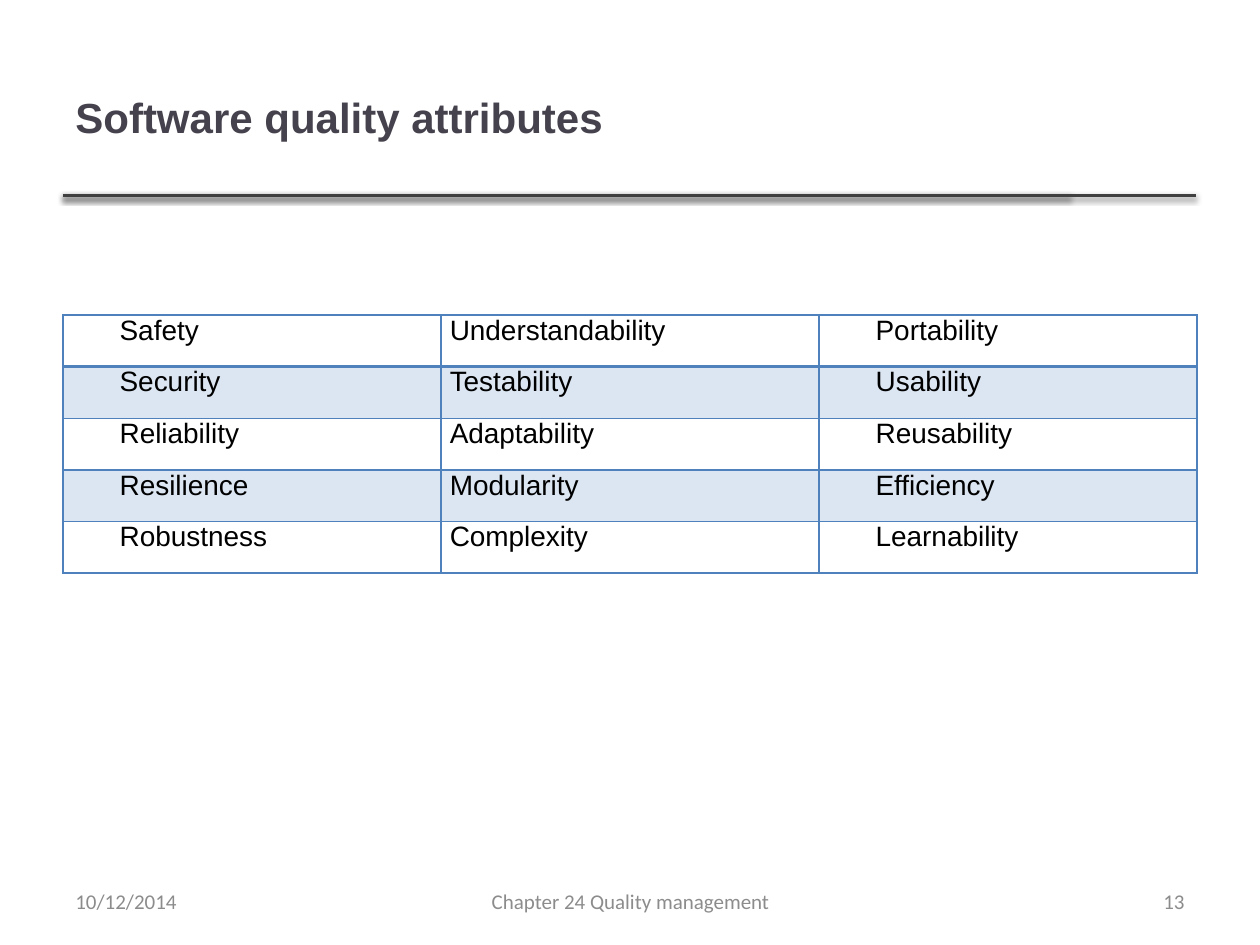
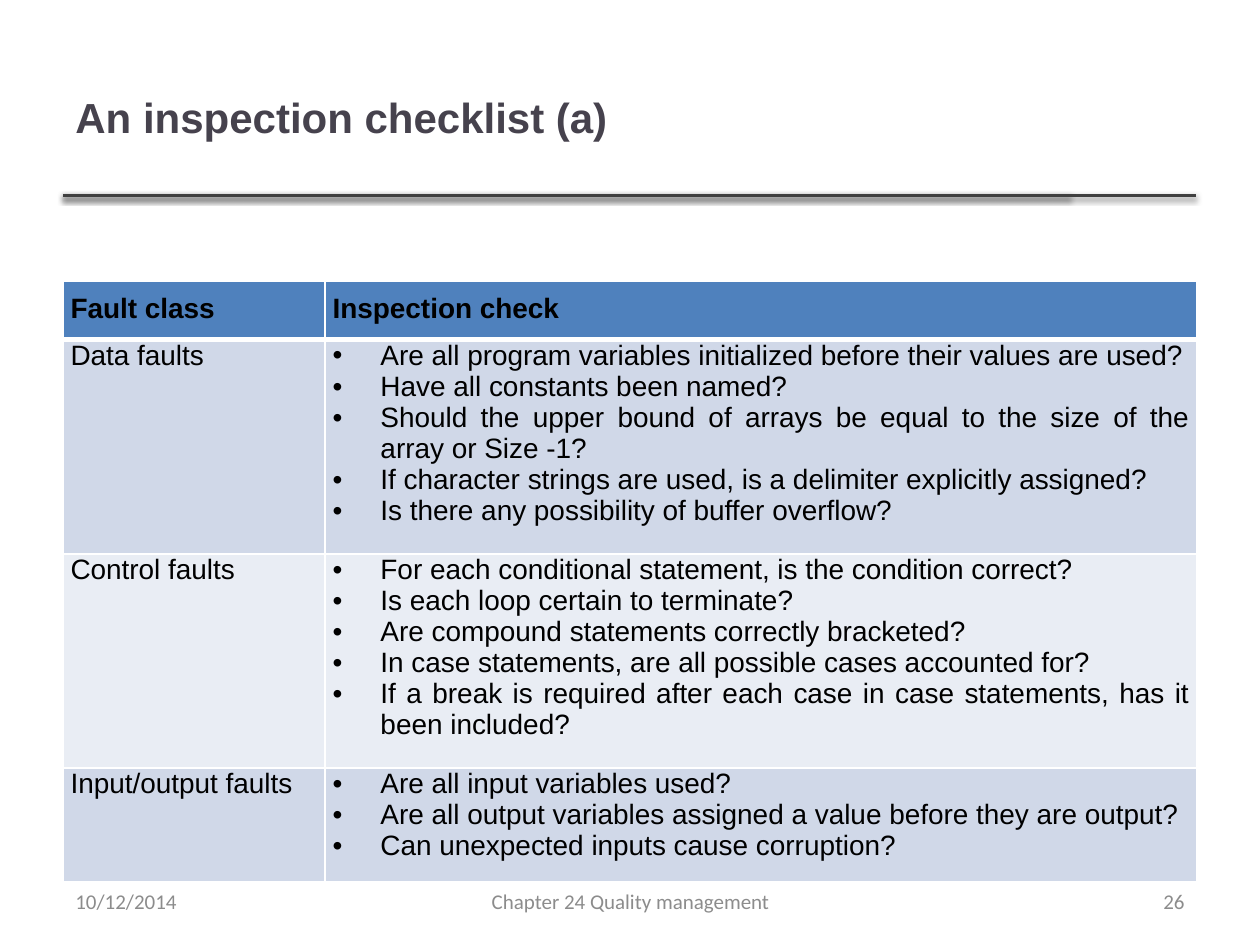
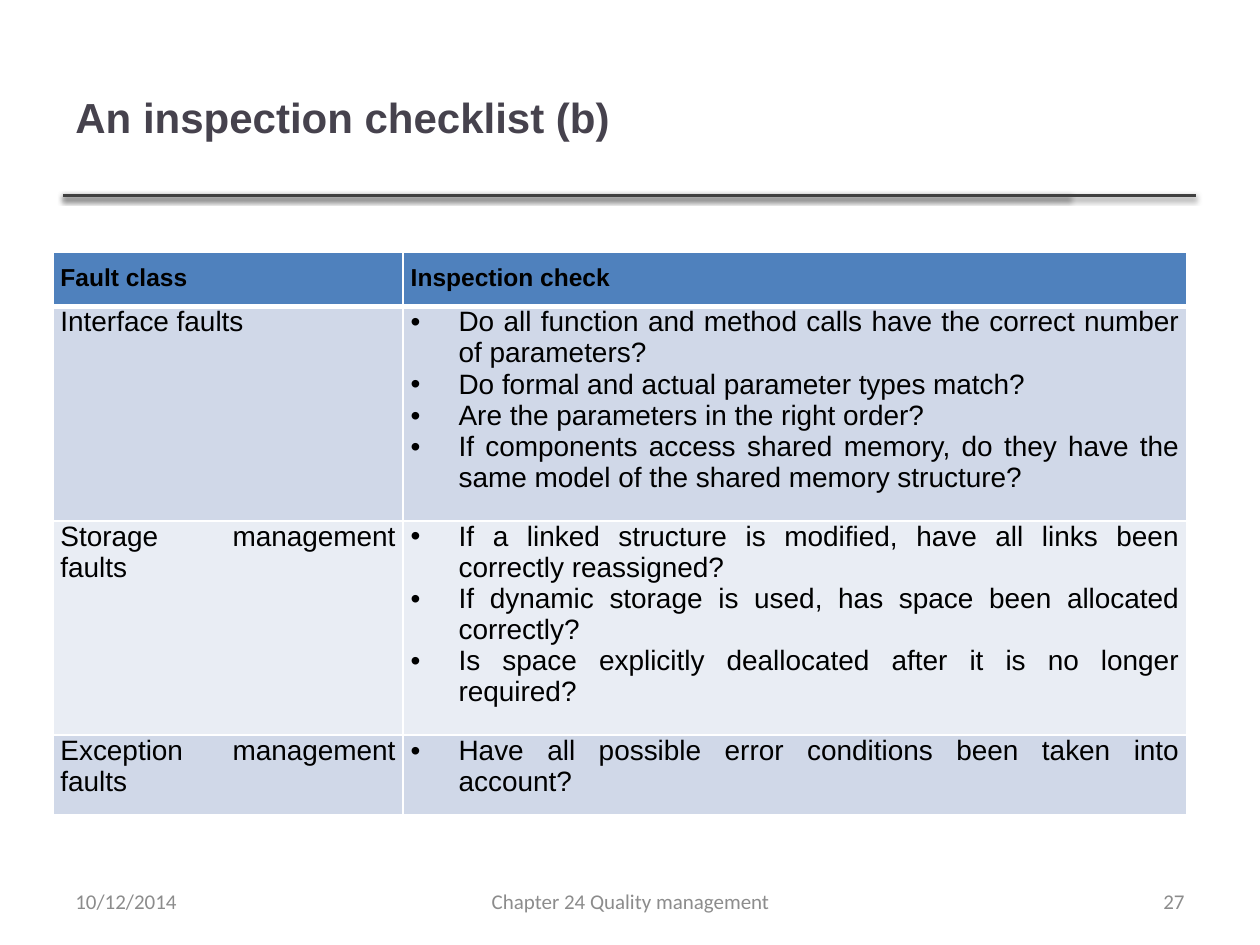
from pptx import Presentation
from pptx.dml.color import RGBColor
from pptx.enum.shapes import MSO_CONNECTOR
from pptx.enum.text import MSO_ANCHOR, PP_ALIGN
from pptx.oxml import parse_xml
from pptx.oxml.ns import nsdecls
from pptx.util import Inches, Pt

LEFT, CENTER, RIGHT, JUSTIFY = PP_ALIGN.LEFT, PP_ALIGN.CENTER, PP_ALIGN.RIGHT, PP_ALIGN.JUSTIFY
MIDDLE, TOP = MSO_ANCHOR.MIDDLE, MSO_ANCHOR.TOP
STRAIGHT = MSO_CONNECTOR.STRAIGHT

BLACK, WHITE, BLUE, TINT = "000000", "FFFFFF", "4F81BD", "DCE6F2"
BANDS = ["D0D8E8", "E9EDF4"]
TITLE, RULE, GREY = "46424D", "404040", "8C8C8C"
DATE, CHAPTER = "10/12/2014", "Chapter 24 Quality management"
HEADERS = ["Fault class", "Inspection check"]
ROW_H = 0.41
HANG = 0.38

ATTRIBUTES = [
    ["Safety", "Understandability", "Portability"],
    ["Security", "Testability", "Usability"],
    ["Reliability", "Adaptability", "Reusability"],
    ["Resilience", "Modularity", "Efficiency"],
    ["Robustness", "Complexity", "Learnability"],
]
ATTRIBUTE_INDENTS = [HANG, 0, HANG]

CHECKLISTS = [
    dict(title="An inspection checklist (a)", number=26, left=0.5, top=2.23,
         widths=[2.08, 6.92], header_size=16, faults=[
             ("Data faults", [
                 "Are all program variables initialized before their values are used?",
                 "Have all constants been named?",
                 "Should the upper bound of arrays be equal to the size of the array or Size -1?",
                 "If character strings are used, is a delimiter explicitly assigned?",
                 "Is there any possibility of buffer overflow?"]),
             ("Control faults", [
                 "For each conditional statement, is the condition correct?",
                 "Is each loop certain to terminate?",
                 "Are compound statements correctly bracketed?",
                 "In case statements, are all possible cases accounted for?",
                 "If a break is required after each case in case statements, has it been included?"]),
             ("Input/output faults", [
                 "Are all input variables used?",
                 "Are all output variables assigned a value before they are output?",
                 "Can unexpected inputs cause corruption?"]),
         ]),
    dict(title="An inspection checklist (b)", number=27, left=0.42, top=2,
         widths=[2.78, 6.22], header_size=14, faults=[
             ("Interface faults", [
                 "Do all function and method calls have the correct number of parameters?",
                 "Do formal and actual parameter types match?",
                 "Are the parameters in the right order?",
                 "If components access shared memory, do they have the same model "
                 "of the shared memory structure?"]),
             ("Storage management faults", [
                 "If a linked structure is modified, have all links been correctly reassigned?",
                 "If dynamic storage is used, has space been allocated correctly?",
                 "Is space explicitly deallocated after it is no longer required?"]),
             ("Exception management faults", [
                 "Have all possible error conditions been taken into account?"]),
         ]),
]


def rgb(color):
    return RGBColor.from_string(color)


def write(p, text, size=16, font="Arial", color=BLACK, bold=False, align=JUSTIFY,
          indent=0, bullet=False, before=0):
    p.alignment = align
    p.space_before = Pt(before)
    r = p.add_run()
    r.text = text
    r.font.size, r.font.name, r.font.bold = Pt(size), font, bold
    r.font.color.rgb = rgb(color)
    pPr = p._p.get_or_add_pPr()
    if bullet:
        pPr.set("marL", str(Inches(HANG)))
        pPr.set("indent", str(-Inches(HANG)))
        pPr.append(parse_xml(f'<a:buFont {nsdecls("a")} typeface="Arial"/>'))
        pPr.append(parse_xml(f'<a:buChar {nsdecls("a")} char="•"/>'))
    elif indent:
        pPr.set("marL", "0")
        pPr.set("indent", str(Inches(indent)))


def add_text(slide, text, x, y, w, h, **fmt):
    tf = slide.shapes.add_textbox(Inches(x), Inches(y), Inches(w), Inches(h)).text_frame
    tf.word_wrap = True
    tf.vertical_anchor = MIDDLE
    write(tf.paragraphs[0], text, **fmt)


def add_rule(slide, x1, x2, y):
    line = slide.shapes.add_connector(STRAIGHT, Inches(x1), Inches(y), Inches(x2), Inches(y))
    line.line.color.rgb = rgb(RULE)
    line.line.width = Pt(2)
    line._element.spPr.append(parse_xml(
        f'<a:effectLst {nsdecls("a")}><a:outerShdw blurRad="{Pt(3.1)}" dist="{Pt(1.6)}" '
        'dir="5400000" rotWithShape="0"><a:srgbClr val="000000"><a:alpha val="38000"/>'
        '</a:srgbClr></a:outerShdw></a:effectLst>'))


def add_slide(title, number):
    slide = prs.slides.add_slide(prs.slide_layouts[6])
    for end in (8.49, 9.49):
        add_rule(slide, 0.5, end, 1.55)
    add_text(slide, title, 0.5, 0.3, 7.98, 1.25, size=24, color=TITLE, bold=True, align=LEFT)
    for text, x, w, align in [(DATE, 0.5, 2.33, LEFT), (CHAPTER, 3.42, 3.17, CENTER),
                              (str(number), 7.17, 2.33, RIGHT)]:
        add_text(slide, text, x, 6.95, w, 0.4, size=12, font="Calibri", color=GREY, align=align)
    return slide


def add_grid(slide, x, y, widths, row_count, border, first_border):
    table = slide.shapes.add_table(row_count, len(widths), Inches(x), Inches(y),
                                   Inches(sum(widths)), Inches(ROW_H * row_count)).table
    table.first_row = table.horz_banding = False
    for column, width in zip(table.columns, widths):
        column.width = Inches(width)
    for i, row in enumerate(table.rows):
        row.height = Inches(ROW_H)
        sides = dict(L=1, R=1, T=first_border if i == 1 else 1, B=first_border if i == 0 else 1)
        for cell in row.cells:
            tcPr = cell._tc.get_or_add_tcPr()
            for side, width in sides.items():
                tcPr.append(parse_xml(
                    f'<a:ln{side} {nsdecls("a")} w="{Pt(width)}"><a:solidFill>'
                    f'<a:srgbClr val="{border}"/></a:solidFill></a:ln{side}>'))
    return table


def fill_cell(cell, lines, fill=None, inset=0.06, top=0, bottom=0, **fmt):
    cell.margin_left = cell.margin_right = Inches(inset)
    cell.margin_top, cell.margin_bottom = Inches(top), Inches(bottom)
    cell.vertical_anchor = TOP
    if fill:
        cell.fill.solid()
        cell.fill.fore_color.rgb = rgb(fill)
    else:
        cell.fill.background()
    tf = cell.text_frame
    for i, line in enumerate(lines):
        write(tf.add_paragraph() if i else tf.paragraphs[0], line, **fmt)


def attributes_slide():
    slide = add_slide("Software quality attributes", 13)
    table = add_grid(slide, 0.5, 2.5, [3, 3, 3], len(ATTRIBUTES), BLUE, 2)
    for i, names in enumerate(ATTRIBUTES):
        for j, (name, indent) in enumerate(zip(names, ATTRIBUTE_INDENTS)):
            fill_cell(table.cell(i, j), [name], fill=TINT if i % 2 else None,
                      inset=0.07, indent=indent, before=3)


def checklist_slide(title, number, left, top, widths, header_size, faults):
    slide = add_slide(title, number)
    table = add_grid(slide, left, top, widths, len(faults) + 1, WHITE, 3)
    for j, header in enumerate(HEADERS):
        fill_cell(table.cell(0, j), [header], fill=BLUE, top=0.1, bottom=0.1,
                  size=header_size, bold=True)
    for i, (fault, checks) in enumerate(faults):
        band = BANDS[i % 2]
        fill_cell(table.cell(i + 1, 0), [fault], fill=band, bottom=0.1)
        fill_cell(table.cell(i + 1, 1), checks, fill=band, bottom=0.1, bullet=True)


prs = Presentation()
prs.slide_width, prs.slide_height = Inches(10), Inches(7.5)
attributes_slide()
for checklist in CHECKLISTS:
    checklist_slide(**checklist)
prs.save("out.pptx")
